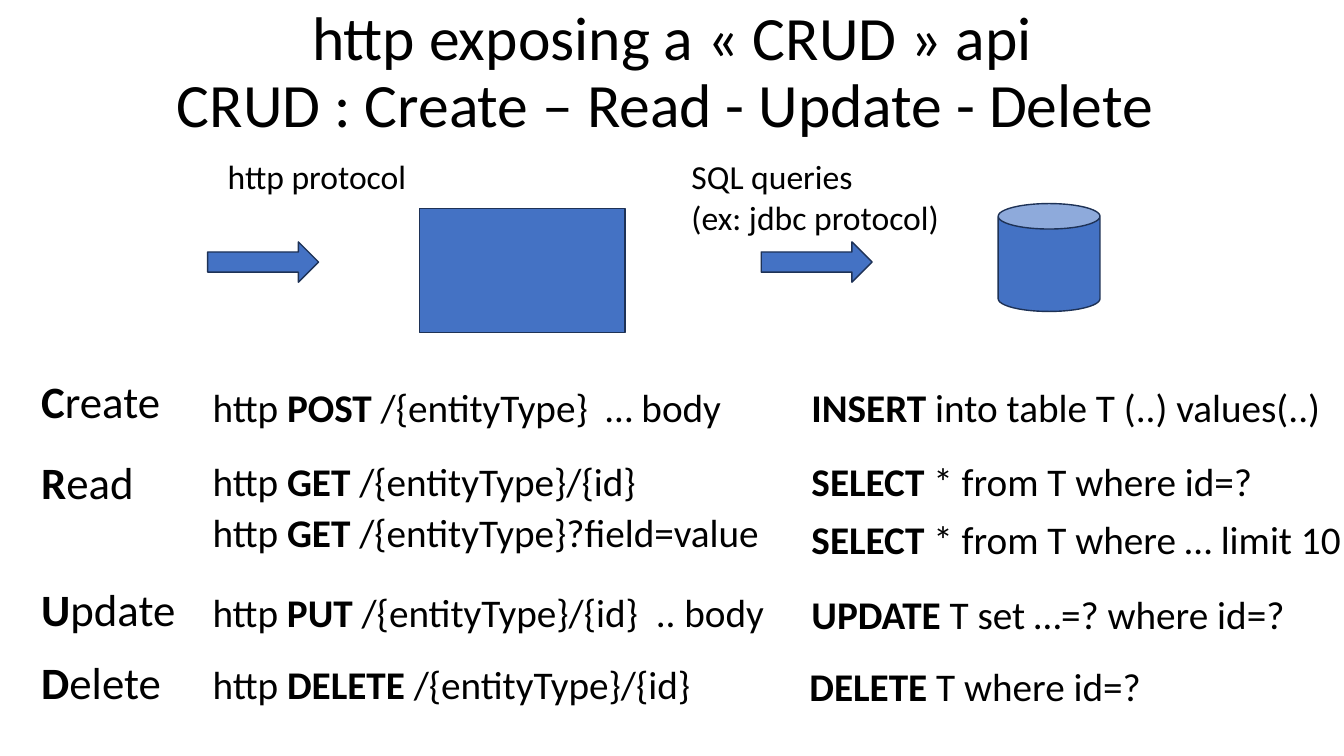
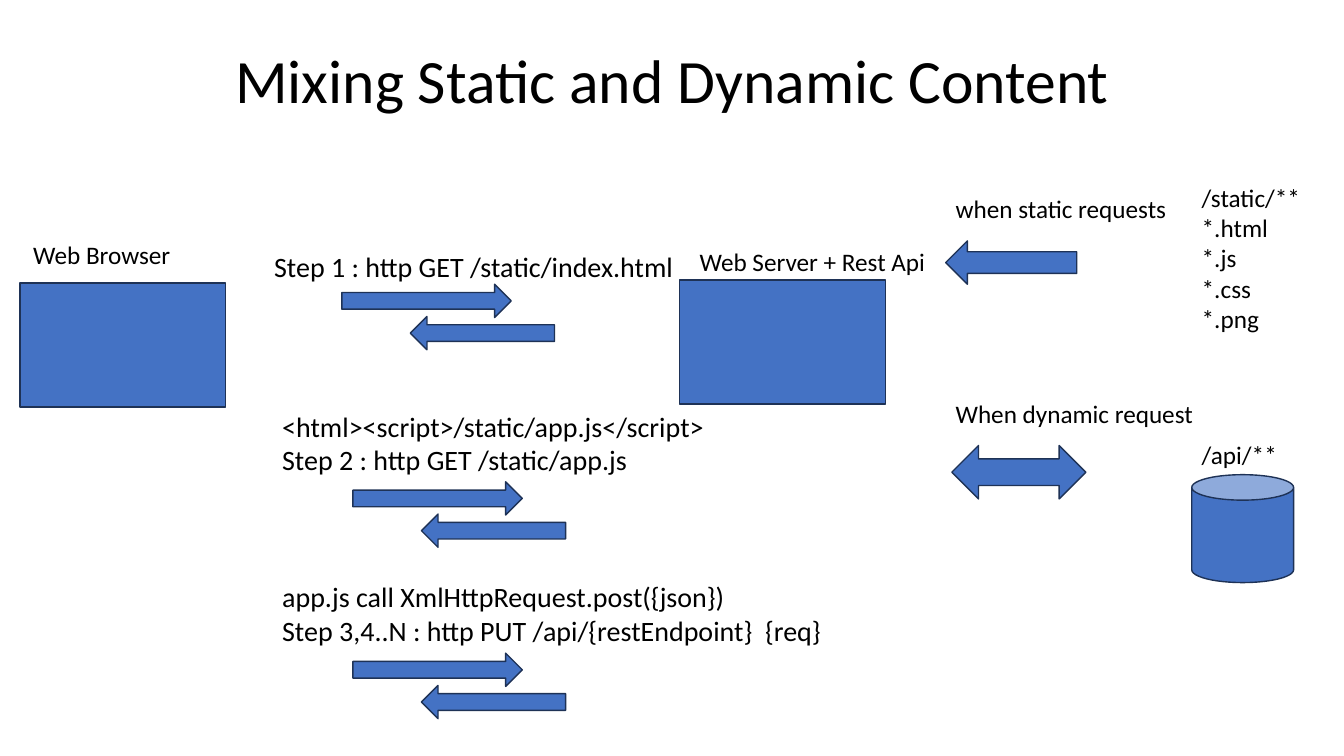
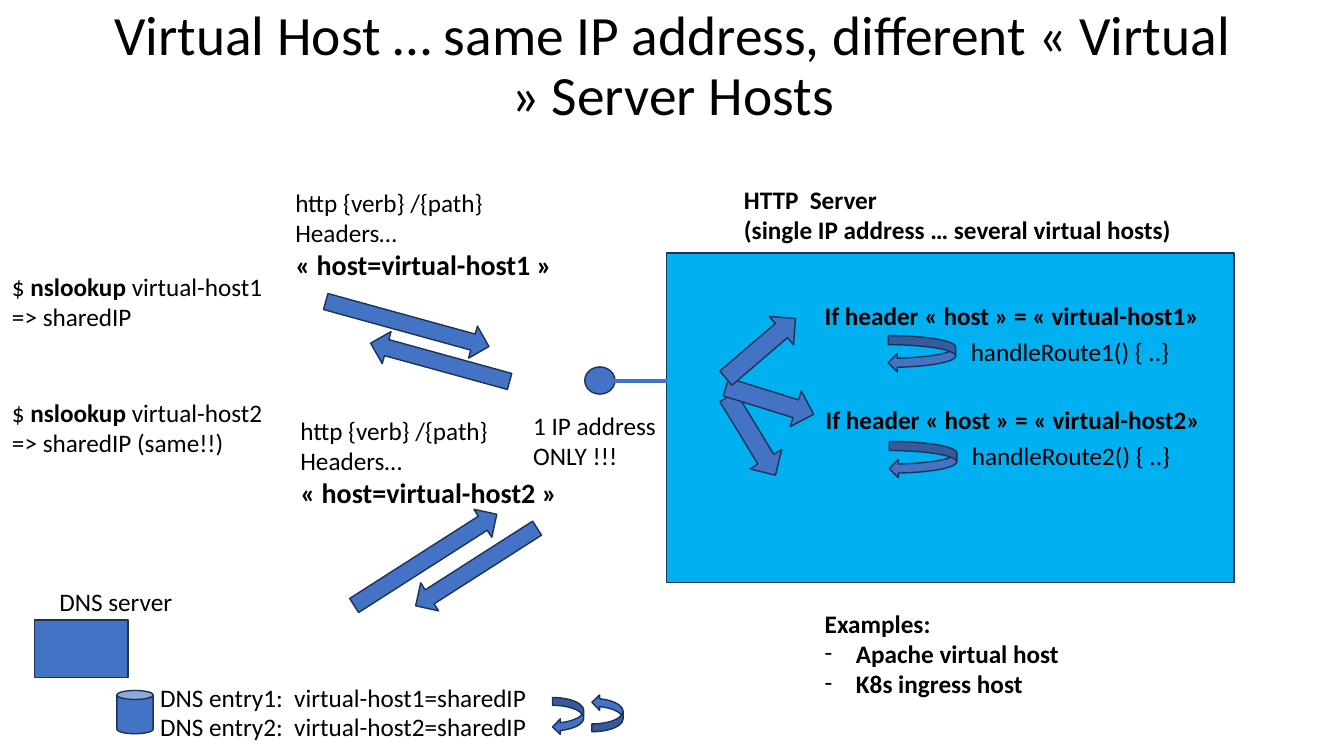
from dataclasses import dataclass
from typing import NamedTuple

from lxml.etree import SubElement
from pptx import Presentation
from pptx.dml.color import RGBColor
from pptx.enum.shapes import MSO_CONNECTOR, MSO_SHAPE as Preset
from pptx.enum.text import MSO_ANCHOR as Anchor, MSO_AUTO_SIZE as AutoSize, PP_ALIGN as Align
from pptx.oxml.ns import qn
from pptx.util import Inches, Pt

BLACK = RGBColor(0x00, 0x00, 0x00)
BLUE = RGBColor(0x44, 0x72, 0xC4)
OUTLINE = RGBColor(0x1E, 0x32, 0x56)
SKY = RGBColor(0x00, 0xB0, 0xF0)
FONT = "Calibri"
CONTENT_LAYOUT, TITLE_LAYOUT = 1, 5
TITLE_LEFT, TITLE_WIDTH = 0.92, 11.5
VERB_LEFT, HTTP_LEFT, SQL_LEFT = 0.31, 2.01, 7.95
BULLET_INDENT = 0.31


class Run(NamedTuple):
    text: str
    bold: bool = False
    size: float | None = None


Line = tuple[Run, ...]


@dataclass(frozen=True)
class Figure:
    preset: Preset
    left: float
    top: float
    width: float
    height: float
    rotation: float = 0
    fill: RGBColor = BLUE
    flipped: bool = False


@dataclass(frozen=True)
class Label:
    left: float
    top: float
    width: float
    lines: tuple[Line, ...]
    size: float = 18

    def height(self) -> float:
        """Return the box height that fits the lines and the insets."""
        points = sum(
            max(run.size or self.size for run in line) * (1 + sum(run.text.count("\n") for run in line))
            for line in self.lines
        )
        return round(0.1 + points * 1.2 / 72, 2)


def lines(*texts: str, bold: bool = False) -> tuple[Line, ...]:
    """Make one single-run line from each text."""
    return tuple((Run(text, bold),) for text in texts)


def mixed(*texts: str, first_bold: bool = False) -> tuple[Line, ...]:
    """Make one line whose runs alternate between regular and bold."""
    return (tuple(Run(text, (index % 2 == 0) == first_bold) for index, text in enumerate(texts)),)


def add_runs(paragraph, line: Line, size: float) -> None:
    """Write the runs of a line, turning newlines into line breaks."""
    for part in line:
        for index, text in enumerate(part.text.split("\n")):
            if index:
                paragraph.add_line_break()
            run = paragraph.add_run()
            run.text = text
            run.font.name = FONT
            run.font.size = Pt(part.size or size)
            run.font.bold = part.bold
            run.font.color.rgb = BLACK


def place(shape, left: float, top: float, width: float, height: float) -> None:
    """Move and size a shape in inches."""
    shape.left, shape.top = Inches(left), Inches(top)
    shape.width, shape.height = Inches(width), Inches(height)


def add_slide(presentation, title: str, top: float, height: float, size: float = 44, layout: int = TITLE_LAYOUT):
    """Add a slide with a centred title."""
    slide = presentation.slides.add_slide(presentation.slide_layouts[layout])
    place(slide.shapes.title, TITLE_LEFT, top, TITLE_WIDTH, height)
    frame = slide.shapes.title.text_frame
    frame.auto_size = AutoSize.NONE
    frame.vertical_anchor = Anchor.MIDDLE
    paragraph = frame.paragraphs[0]
    paragraph.alignment = Align.CENTER
    paragraph.line_spacing = 0.9
    add_runs(paragraph, (Run(title),), size)
    return slide


def add_figures(slide, figures: list[Figure]) -> None:
    """Draw the preset shapes from back to front."""
    for figure in figures:
        shape = slide.shapes.add_shape(
            figure.preset, Inches(figure.left), Inches(figure.top), Inches(figure.width), Inches(figure.height)
        )
        shape.shadow.inherit = False
        shape.rotation = figure.rotation
        shape.fill.solid()
        shape.fill.fore_color.rgb = figure.fill
        shape.line.color.rgb = OUTLINE
        shape.line.width = Pt(1)
        if figure.flipped:
            shape._element.spPr.xfrm.set("flipV", "1")


def add_labels(slide, labels: list[Label]) -> None:
    """Draw the text boxes."""
    for label in labels:
        box = slide.shapes.add_textbox(
            Inches(label.left), Inches(label.top), Inches(label.width), Inches(label.height())
        )
        frame = box.text_frame
        frame.word_wrap = False
        frame.auto_size = AutoSize.SHAPE_TO_FIT_TEXT
        for index, line in enumerate(label.lines):
            paragraph = frame.add_paragraph() if index else frame.paragraphs[0]
            add_runs(paragraph, line, label.size)


def add_examples(slide, heading: str, examples: list[str]) -> None:
    """Fill the body placeholder with a heading and dashed items."""
    body = slide.placeholders[1]
    place(body, 8.08, 5.98, 2.54, 1.31)
    frame = body.text_frame
    frame.auto_size = AutoSize.NONE
    for index, text in enumerate([heading, *examples]):
        paragraph = frame.add_paragraph() if index else frame.paragraphs[0]
        properties = paragraph._p.get_or_add_pPr()
        indent = Inches(BULLET_INDENT) if index else 0
        properties.set("marL", str(indent))
        properties.set("indent", str(-indent))
        if index:
            SubElement(properties, qn("a:buFont"), typeface=FONT)
            SubElement(properties, qn("a:buChar"), char="-")
        else:
            SubElement(properties, qn("a:buNone"))
        paragraph.space_before = Pt(0)
        add_runs(paragraph, (Run(text, True),), 18)


def add_link(slide, left: float, right: float, top: float) -> None:
    """Draw a horizontal blue line."""
    link = slide.shapes.add_connector(
        MSO_CONNECTOR.STRAIGHT, Inches(left), Inches(top), Inches(right), Inches(top)
    )
    link.line.color.rgb = BLUE
    link.line.width = Pt(2.25)
    SubElement(link._element.spPr, qn("a:effectLst"))


def exchange(left: float, top: float) -> list[Figure]:
    """Return a request arrow and the response arrow below it."""
    return [
        Figure(Preset.RIGHT_ARROW, left, top, 1.68, 0.33),
        Figure(Preset.LEFT_ARROW, left + 0.68, top + 0.32, 1.43, 0.33),
    ]


def server(left: float, top: float) -> Figure:
    """Return a server box."""
    return Figure(Preset.RECTANGLE, left, top, 2.04, 1.23)


def database(left: float, top: float) -> Figure:
    """Return a database cylinder."""
    return Figure(Preset.CAN, left, top, 1.01, 1.07)


def build_crud(presentation) -> None:
    """Build the slide that maps CRUD to http and SQL."""
    slide = add_slide(
        presentation, "http exposing a « CRUD » api\nCRUD : Create – Read - Update - Delete ", 0.01, 1.45
    )
    arrows = [Figure(Preset.RIGHT_ARROW, left, 2.4, 1.1, 0.4) for left in (2.06, 7.55)]
    add_figures(slide, [server(4.16, 2.07), *arrows, database(9.9, 2.02)])
    verbs = [("Create", 3.66, 1.39), ("Read", 4.46, 1.14), ("Update", 5.72, 1.57), ("Delete", 6.45, 1.41)]
    requests = [
        ("POST", " /{entityType}  … body", 3.75, 5.29),
        ("GET", " /{entityType}/{id}", 4.49, 4.45),
        ("GET", " /{entityType}?field=value", 4.99, 5.78),
        ("PUT", " /{entityType}/{id}  .. body", 5.79, 5.73),
        ("DELETE", " /{entityType}/{id}", 6.5, 4.99),
    ]
    queries = [
        ("INSERT ", "into table T (..) values(..)", SQL_LEFT, 3.75, 5.31),
        ("SELECT", " * from T where id=?", SQL_LEFT, 4.49, 4.62),
        ("SELECT", " * from T where … limit 10", SQL_LEFT, 5.06, 5.51),
        ("UPDATE", " T set …=? where id=?", SQL_LEFT, 5.81, 4.95),
        ("DELETE", " T where id=?", 7.93, 6.52, 3.53),
    ]
    add_labels(slide, [
        Label(2.16, 1.5, 1.99, lines("http protocol"), 24),
        Label(6.76, 1.5, 2.68, lines("SQL queries", "(ex: jdbc protocol)"), 24),
        *(Label(VERB_LEFT, top, width, mixed(verb[0], verb[1:], first_bold=True), 32)
          for verb, top, width in verbs),
        *(Label(HTTP_LEFT, top, width, mixed("http ", method, target), 28)
          for method, target, top, width in requests),
        *(Label(left, top, width, mixed(keyword, rest, first_bold=True), 28)
          for keyword, rest, left, top, width in queries),
    ])


def build_mixing(presentation) -> None:
    """Build the slide on static and dynamic content."""
    slide = add_slide(presentation, "Mixing Static and Dynamic Content", 0.4, 0.86)
    add_figures(slide, [
        server(0.2, 2.81),
        server(6.74, 2.78),
        *exchange(3.39, 2.82),
        *exchange(3.5, 4.78),
        *exchange(3.5, 6.48),
        Figure(Preset.LEFT_RIGHT_ARROW, 9.44, 4.42, 1.33, 0.53),
        Figure(Preset.LEFT_ARROW, 9.38, 2.39, 1.3, 0.43),
        database(11.82, 4.71),
    ])
    add_labels(slide, [
        Label(0.23, 2.33, 1.58, lines("Web Browser")),
        Label(6.84, 2.39, 2.47, lines("Web Server + Rest Api")),
        Label(2.62, 2.43, 4.21, lines("Step 1 : http GET /static/index.html"), 20),
        Label(2.7, 4.01, 4.46, lines(
            "<html><script>/static/app.js</script>", "Step 2 : http GET /static/app.js"), 20),
        Label(2.7, 5.7, 5.73, lines(
            "app.js call XmlHttpRequest.post({json})",
            "Step 3,4..N : http PUT /api/{restEndpoint}  {req}"), 20),
        Label(9.38, 1.87, 2.32, lines("when static requests")),
        Label(11.82, 1.76, 1.19, lines("/static/**", "*.html", "*.js", "*.css", "*.png")),
        Label(9.38, 3.9, 2.64, lines("When dynamic request")),
        Label(11.82, 4.31, 0.96, lines("/api/**")),
    ])


def host_labels(number: int, request: tuple[float, float], lookup_top: float, answer: str,
                route: tuple[float, float]) -> list[Label]:
    """Return the request, lookup and routing texts of one virtual host."""
    host = f"virtual-host{number}"
    left, top = route
    headers = lines("http {verb} /{path}", "Headers…") + ((Run(f"« host={host} »", True, 20),),)
    return [
        Label(*request, 2.78, headers),
        Label(0.02, lookup_top, 2.69, mixed("$ ", "nslookup", f" {host}\n=> {answer}")),
        Label(left, top, 3.96, lines(f"If header « host » = « {host}»", bold=True)),
        Label(left + 1.45, top + 0.36, 2.19, lines(f"handleRoute{number}() {{ ..}}")),
        Label(1.49, 6.43 + 0.29 * number, 3.87, lines(f"DNS entry{number}:  {host}=sharedIP")),
    ]


def build_hosts(presentation) -> None:
    """Build the slide on virtual hosts."""
    slide = add_slide(
        presentation, "Virtual Host … same IP address, different « Virtual » Server Hosts",
        0.08, 1.18, 39.6, CONTENT_LAYOUT,
    )
    add_figures(slide, [
        Figure(Preset.RECTANGLE, 6.61, 2.51, 5.63, 3.27, fill=SKY),
        Figure(Preset.RIGHT_ARROW, 3.2, 3.05, 1.68, 0.33, 15.4),
        Figure(Preset.LEFT_ARROW, 3.65, 3.43, 1.43, 0.33, 15.4),
        Figure(Preset.RIGHT_ARROW, 3.38, 5.39, 1.68, 0.33, 327.4),
        Figure(Preset.LEFT_ARROW, 4.01, 5.46, 1.43, 0.33, 327.4),
        Figure(Preset.DOWN_ARROW, 7.27, 3.87, 0.37, 0.91, 328.7),
        Figure(Preset.DOWN_ARROW, 7.45, 3.52, 0.37, 0.91, 287.3),
        Figure(Preset.DOWN_ARROW, 7.36, 3, 0.37, 0.91, 229.4),
        Figure(Preset.OVAL, 5.8, 3.64, 0.3, 0.27),
        Figure(Preset.RECTANGLE, 0.34, 6.15, 0.93, 0.57),
        Figure(Preset.CAN, 1.16, 6.85, 0.36, 0.43),
        Figure(Preset.CURVED_LEFT_ARROW, 5.48, 6.92, 0.31, 0.37),
        Figure(Preset.CURVED_LEFT_ARROW, 5.87, 6.89, 0.31, 0.37, flipped=True),
        Figure(Preset.CURVED_LEFT_ARROW, 8.81, 3.33, 0.67, 0.36),
        Figure(Preset.CURVED_LEFT_ARROW, 8.82, 4.38, 0.67, 0.36),
    ])
    add_link(slide, 6.09, 6.62, 3.78)
    add_labels(slide, [
        *host_labels(1, (2.83, 1.81), 2.64, "sharedIP", (8.08, 2.93)),
        *host_labels(2, (2.88, 4.07), 3.89, "sharedIP (same!!)", (8.09, 3.96)),
        Label(7.28, 1.78, 4.52, lines(
            "HTTP  Server", "(single IP address … several virtual hosts)", bold=True)),
        Label(5.19, 4.02, 1.43, lines("1 IP address", "ONLY !!!")),
        Label(0.49, 5.77, 1.33, lines("DNS server")),
    ])
    add_examples(slide, "Examples:", ["Apache virtual host", "K8s ingress host"])


def main() -> None:
    """Build and save the presentation."""
    presentation = Presentation()
    presentation.slide_width, presentation.slide_height = Inches(13.33), Inches(7.5)
    build_crud(presentation)
    build_mixing(presentation)
    build_hosts(presentation)
    presentation.save("out.pptx")


if __name__ == "__main__":
    main()
